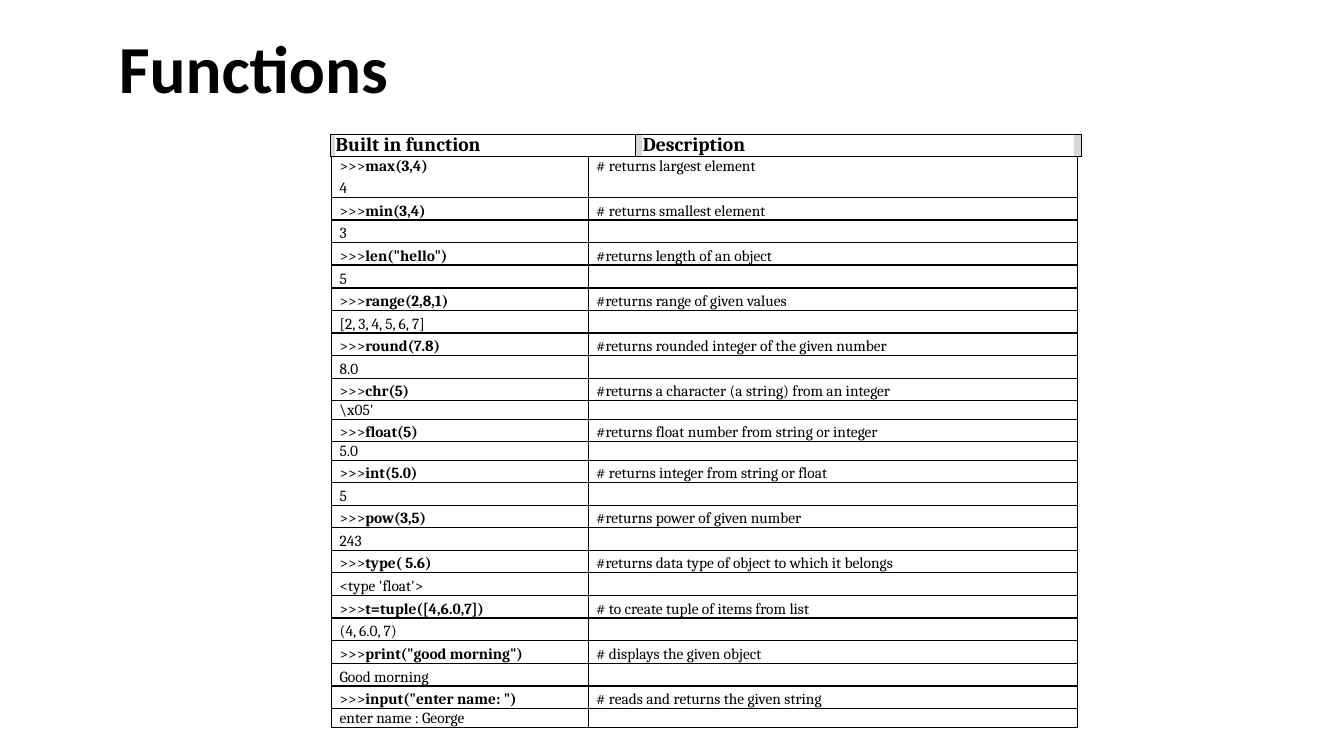
"""Build the slide that lists Python built-in functions."""
from lxml.etree import SubElement
from pptx import Presentation
from pptx.dml.color import RGBColor
from pptx.enum.text import MSO_ANCHOR, MSO_AUTO_SIZE, PP_ALIGN
from pptx.oxml.ns import qn
from pptx.util import Cm, Pt

COLORS = {"text": "000000", "line": "000000", "edge": "D9D9D9"}
NO_STYLE = "{2D5ABB26-0587-4C30-8999-92F81FD0307C}"
ROW_H = Cm(0.47)
FUNCTIONS = [
    ("max(3,4)", "4", "# returns largest element", None, 16.3),
    ("min(3,4)", "3", "# returns smallest element", 15.8, 16.3),
    ('len("hello")', "5", "#returns length of an object", 15.8, 16.4),
    ("range(2,8,1)", "[2, 3, 4, 5, 6, 7]", "#returns range of given values", 15.8, 16.3),
    ("round(7.8)", "8.0", "#returns rounded integer of the given number", 15.9, 16.3),
    ("chr(5)", "\\x05'", "#returns a character (a string) from an integer", 15.8, None),
    ("float(5)", "5.0", "#returns float number from string or integer", 15.8, None),
    ("int(5.0)", "5", "# returns integer from string or float", 15.8, 16.4),
    ("pow(3,5)", "243", "#returns power of given number", 15.8, 16.3),
    ("type( 5.6)", "<type 'float'>", "#returns data type of object to which it belongs", 15.8, 16.3),
    ("t=tuple([4,6.0,7])", "(4, 6.0, 7)", "# to create tuple of items from list", 15.9, 16.3),
    ('print("good morning")', "Good morning", "# displays the given object", 15.9, 16.3),
    ('input("enter name: ")', "enter name : George", "# reads and returns the given string", 15.8, None),
]


def new_table(s, rows, widths, left, top, row_h):
    """Add an unstyled table with the given column widths."""
    frame = s.shapes.add_table(rows, len(widths), left, top, sum(widths), row_h * rows)
    tbl = frame.table
    tbl.first_row = tbl.horz_banding = False
    tbl._tbl.tblPr.find(qn("a:tableStyleId")).text = NO_STYLE
    for col, width in zip(tbl.columns, widths):
        col.width = width
    for row in tbl.rows:
        row.height = row_h
    return tbl


def fill_cell(cell, runs, sides, size=11, indent=0, spacing=None, fill=None):
    """Write (text, bold) runs in a cell and draw the named sides."""
    fmt = {"margin_left": 0, "margin_right": 0, "margin_top": 0,
           "margin_bottom": 0, "vertical_anchor": MSO_ANCHOR.BOTTOM}
    for name, value in fmt.items():
        setattr(cell, name, value)
    tcPr = cell._tc.get_or_add_tcPr()
    for side in "LRTB":
        if side in sides:
            ln = SubElement(tcPr, qn(f"a:ln{side}"), w=str(Pt(1)))
            solid = SubElement(ln, qn("a:solidFill"))
            SubElement(solid, qn("a:srgbClr"), val=COLORS["line"])
    if fill:
        cell.fill.solid()
        cell.fill.fore_color.rgb = RGBColor.from_string(fill)
    else:
        cell.fill.background()
    p = cell.text_frame.paragraphs[0]
    p._p.get_or_add_pPr().set("marL", str(indent))
    if spacing:
        p.line_spacing = Pt(spacing)
    for text, bold in runs:
        r = p.add_run()
        r.text = text
        for name, value in {"size": Pt(size), "name": "Cambria", "bold": bold}.items():
            setattr(r.font, name, value)
        r.font.color.rgb = RGBColor.from_string(COLORS["text"])
    if not runs:
        p._p.get_or_add_endParaRPr().set("sz", str(size * 100))


prs = Presentation()
prs.slide_width, prs.slide_height = Cm(33.87), Cm(19.05)
s = prs.slides.add_slide(prs.slide_layouts[5])

head = new_table(s, 1, [Cm(w) for w in (0.08, 7.59, 0.15, 10.9, 0.18)],
                 Cm(8.33), Cm(3.38), Cm(0.56))
headings = ["", "Built in function", "", "Description", ""]
for i, (text, sides) in enumerate(zip(headings, ("LTB", "TRB", "TB", "TB", "TRB"))):
    if text:
        fill_cell(head.cell(0, i), [(text, True)], sides, 14, Cm(0.03), 15.9)
    else:
        fill_cell(head.cell(0, i), [], sides, fill=COLORS["edge"])

body = new_table(s, 2 * len(FUNCTIONS), [Cm(6.48), Cm(12.32)], Cm(8.36), Cm(3.94), ROW_H)
for i, (call, result, note, call_pt, result_pt) in enumerate(FUNCTIONS):
    top, low = 2 * i, 2 * i + 1
    fill_cell(body.cell(top, 0), [(">>>", False), (call, True)], "LRT",
              indent=Cm(0.2), spacing=call_pt)
    fill_cell(body.cell(top, 1), [(note, False)], "LRT", indent=Cm(0.18), spacing=call_pt)
    fill_cell(body.cell(low, 0), [(result, False)], "LRB", indent=Cm(0.2), spacing=result_pt)
    fill_cell(body.cell(low, 1), [], "LRB")

sp = s.shapes.title
box = {"left": Cm(2.74), "top": Cm(0.53), "width": Cm(15.62), "height": Cm(2.31)}
for name, value in box.items():
    setattr(sp, name, value)
tf = sp.text_frame
frame_fmt = {"text": "Functions", "word_wrap": True, "auto_size": MSO_AUTO_SIZE.NONE,
             "vertical_anchor": MSO_ANCHOR.TOP}
for name, value in frame_fmt.items():
    setattr(tf, name, value)
p = tf.paragraphs[0]
p.alignment = PP_ALIGN.LEFT
r = p.runs[0]
for name, value in {"size": Pt(48), "name": "Calibri", "bold": True}.items():
    setattr(r.font, name, value)
r.font.color.rgb = RGBColor.from_string(COLORS["text"])

prs.save("out.pptx")
